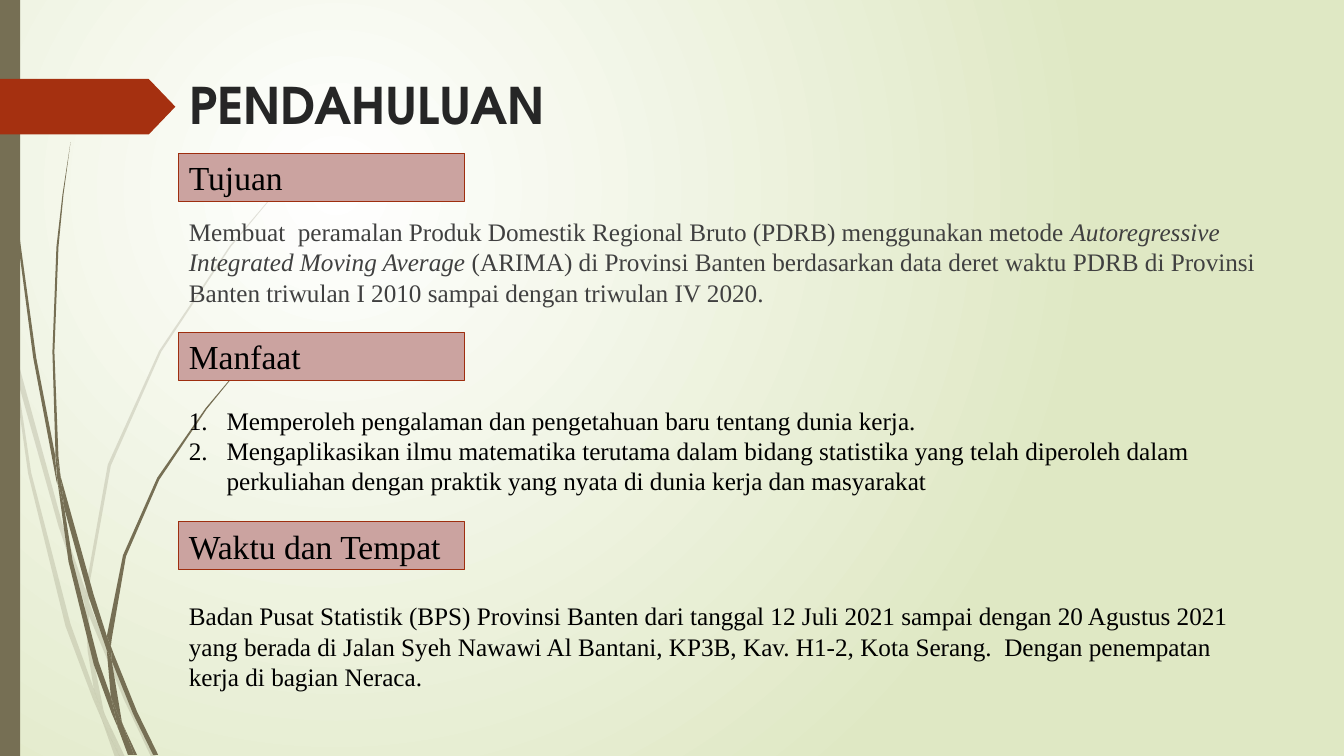
from dataclasses import dataclass

from lxml.etree import SubElement
from pptx import Presentation
from pptx.dml.color import RGBColor
from pptx.enum.shapes import MSO_SHAPE
from pptx.enum.text import MSO_ANCHOR, PP_ALIGN
from pptx.oxml.ns import qn
from pptx.shapes.autoshape import Shape
from pptx.slide import Slide
from pptx.text.text import TextFrame
from pptx.util import Cm, Pt

Point = tuple[int, int]

OLIVE, RUST, BLACK = "766F54", "A53010", "000000"
SERIF = "Times New Roman"
LEFT, TEXT_WIDTH = 4.51, 27.46
BLADE_UNIT = Cm(2.54) / 100  # blade points are hundredths of an inch


@dataclass
class Section:
    heading: str
    heading_top: float
    text_top: float
    paragraphs: list[list[str]]  # every second run is italic
    color: str = BLACK
    numbered: bool = False


PALE_BLADES: list[list[Point]] = [
    [(11, 350), (9, 322), (0, 282), (0, 299), (10, 344)],
    [(58, 522), (84, 599), (85, 586), (62, 520), (14, 345), (17, 376)],
    [(92, 607), (88, 596), (88, 610), (123, 694), (150, 751), (155, 751), (127, 692)],
    [(119, 751), (124, 751), (105, 711)],
    [(93, 683), (70, 619), (31, 469), (17, 376), (11, 350), (28, 470), (65, 621), (92, 693),
     (101, 714), (99, 707)],
    [(84, 599), (87, 646), (93, 683), (96, 692), (105, 711), (103, 706), (91, 646), (88, 610),
     (88, 608)],
    [(88, 584), (110, 462), (160, 349), (229, 245), (268, 198), (290, 175), (312, 154),
     (312, 153), (289, 175), (268, 197), (228, 244), (158, 348), (107, 461), (85, 584),
     (85, 586), (88, 596)],
    [(101, 714), (114, 751), (119, 751)],
    [(88, 608), (88, 610), (88, 596), (85, 586), (84, 599)],
    [(96, 692), (93, 683), (99, 707), (101, 714), (119, 751), (105, 711)],
]

DARK_BLADES: list[list[Point]] = [
    [(7, 110), (17, 233), (33, 355), (56, 477), (57, 481), (55, 457), (55, 453), (36, 355),
     (19, 232), (8, 109), (5, 48), (4, 0), (3, 0), (4, 48)],
    [(88, 592), (106, 645), (106, 631), (93, 590), (60, 472), (64, 505)],
    [(113, 649), (110, 641), (111, 656), (132, 708), (152, 749), (157, 749), (136, 706)],
    [(110, 691), (98, 657), (72, 556), (64, 505), (57, 477), (68, 557), (93, 659), (111, 708),
     (117, 722), (116, 717)],
    [(60, 472), (58, 453), (54, 349), (58, 245), (63, 193), (70, 141), (62, 193), (56, 245),
     (52, 349), (55, 449)],
    [(133, 749), (136, 749), (122, 719)],
    [(57, 477), (64, 505), (60, 472), (55, 449), (55, 453)],
    [(111, 633), (125, 552), (158, 476), (205, 406), (231, 374), (245, 359), (261, 344),
     (260, 344), (245, 358), (231, 373), (204, 405), (156, 474), (122, 551), (106, 631),
     (110, 641)],
    [(117, 722), (127, 749), (131, 749)],
    [(106, 645), (110, 691), (116, 706), (122, 719), (121, 716), (111, 656), (109, 651)],
    [(106, 645), (109, 651), (111, 656), (110, 641), (106, 631)],
    [(116, 706), (110, 691), (116, 717), (117, 722), (130, 749), (133, 749), (122, 719)],
]

SECTIONS = [
    Section("Tujuan", 3.86, 5.33, [[
        "Membuat  peramalan Produk Domestik Regional Bruto (PDRB) menggunakan metode ",
        "Autoregressive Integrated Moving Average",
        " (ARIMA) di Provinsi Banten berdasarkan data deret waktu PDRB di Provinsi Banten "
        "triwulan I 2010 sampai dengan triwulan IV 2020."]], color="404040"),
    Section("Manfaat", 8.38, 10.08, [
        ["Memperoleh pengalaman dan pengetahuan baru tentang dunia kerja."],
        ["Mengaplikasikan ilmu matematika terutama dalam bidang statistika yang telah "
         "diperoleh dalam perkuliahan dengan praktik yang nyata di dunia kerja dan "
         "masyarakat"]], numbered=True),
    Section("Waktu dan Tempat", 13.15, 15.01, [[
        "Badan Pusat Statistik (BPS) Provinsi Banten dari tanggal 12 Juli 2021 sampai dengan "
        "20 Agustus 2021 yang berada di Jalan Syeh Nawawi Al Bantani, KP3B, Kav. H1-2, Kota "
        "Serang.  Dengan penempatan kerja di bagian Neraca."]]),
]


def color(value: str) -> RGBColor:
    return RGBColor.from_string(value)


def paint(shape: Shape, fill: str) -> None:
    shape.shadow.inherit = False
    shape.fill.solid()
    shape.fill.fore_color.rgb = color(fill)
    shape.line.fill.background()


def add_block(slide: Slide, kind: MSO_SHAPE, left: float, top: float,
              width: float, height: float, fill: str) -> Shape:
    shape = slide.shapes.add_shape(kind, Cm(left), Cm(top), Cm(width), Cm(height))
    paint(shape, fill)
    return shape


def add_text_box(slide: Slide, left: float, top: float, height: float) -> TextFrame:
    box = slide.shapes.add_textbox(Cm(left), Cm(top), Cm(TEXT_WIDTH), Cm(height))
    box.text_frame.word_wrap = True
    return box.text_frame


def add_blade(slide: Slide, outline: list[Point], opacity: int) -> None:
    builder = slide.shapes.build_freeform(*outline[0], scale=BLADE_UNIT)
    builder.add_line_segments(outline[1:], close=True)
    shape = builder.convert_to_shape()
    paint(shape, OLIVE)
    if opacity < 100:
        olive = shape.element.spPr.find(qn("a:solidFill"))[0]
        SubElement(olive, qn("a:alpha"), val=str(opacity * 1000))


def set_background(slide: Slide) -> None:
    fill = slide.background.fill
    fill.gradient()
    for stop, value in zip(fill.gradient_stops, ("FFFFFF", "DFE8C4")):
        stop.color.rgb = color(value)
    gradient = slide.element.find(".//" + qn("a:gradFill"))
    gradient.remove(gradient.find(qn("a:lin")))
    circle = SubElement(gradient, qn("a:path"), path="circle")
    SubElement(circle, qn("a:fillToRect"), l="50000", t="50000", r="100000", b="100000")


def add_section(slide: Slide, section: Section) -> None:
    label = add_block(slide, MSO_SHAPE.RECTANGLE, LEFT, section.heading_top, 7.2, 1.21, "CBA3A0")
    label.line.color.rgb = color("9E2E0F")
    label.line.width = Pt(0.75)
    label.text_frame.vertical_anchor = MSO_ANCHOR.MIDDLE
    heading = label.text_frame.paragraphs[0]
    heading.text = section.heading
    heading.alignment = PP_ALIGN.LEFT
    heading.font.name, heading.font.size = SERIF, Pt(24)
    heading.font.color.rgb = color(BLACK)

    frame = add_text_box(slide, LEFT, section.text_top, 2.57)
    for index, texts in enumerate(section.paragraphs):
        paragraph = frame.add_paragraph() if index else frame.paragraphs[0]
        paragraph.font.name, paragraph.font.size = SERIF, Pt(18)
        paragraph.font.color.rgb = color(section.color)
        for position, text in enumerate(texts):
            run = paragraph.add_run()
            run.text = text
            if position % 2:
                run.font.italic = True
        if section.numbered:
            properties = paragraph._p.get_or_add_pPr()
            properties.set("marL", str(Cm(0.95)))
            properties.set("indent", str(-Cm(0.95)))
            numbering = SubElement(properties, qn("a:buAutoNum"), type="arabicPeriod")
            properties.insert(0, numbering)


def main() -> None:
    presentation = Presentation()
    presentation.slide_width, presentation.slide_height = Cm(33.87), Cm(19.05)
    slide = presentation.slides.add_slide(presentation.slide_layouts[6])
    set_background(slide)
    for blades, opacity in ((PALE_BLADES, 20), (DARK_BLADES, 100)):
        for outline in blades:
            add_blade(slide, outline, opacity)
    add_block(slide, MSO_SHAPE.RECTANGLE, 0, 0, 0.51, 19.05, OLIVE)
    banner = add_block(slide, MSO_SHAPE.PENTAGON, 0, 1.99, 4.42, 1.4, RUST)
    banner.adjustments[0] = 0.48

    title = add_text_box(slide, 4.52, 1.75, 1.88).paragraphs[0]
    title.text = "PENDAHULUAN"
    title.font.name, title.font.size, title.font.bold = "TeX Gyre Adventor", Pt(36), True
    title.font.color.rgb = color("262626")
    for section in SECTIONS:
        add_section(slide, section)
    presentation.save("out.pptx")


if __name__ == "__main__":
    main()
